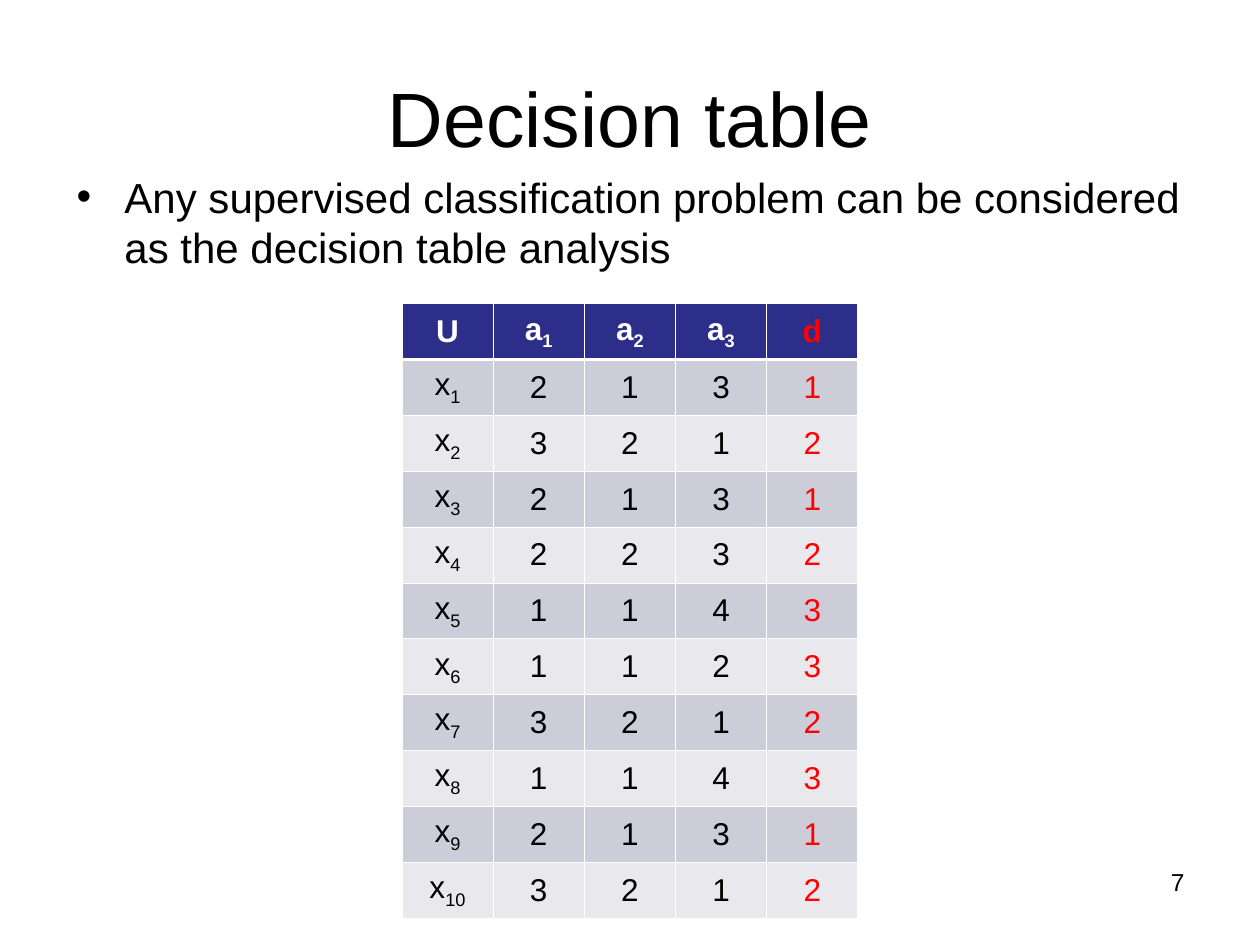
"""Build a slide that shows a decision table."""
from pptx import Presentation
from pptx.dml.color import RGBColor as Rgb
from pptx.enum.text import MSO_ANCHOR as Anchor, PP_ALIGN as Align
from pptx.oxml.ns import qn
from pptx.util import Inches, Pt
from lxml.etree import SubElement as Sub, Element

HUES = {"ink": "000000", "paper": "FFFFFF", "head": "2D2D8A",
        "odd": "CDCDDA", "even": "E8E8ED", "mark": "FF0000"}
HEAD = ["U", "a_1", "a_2", "a_3", "d"]
DATA = ["2131", "3212", "2131", "2232", "1143",
        "1123", "3212", "1143", "2131", "3212"]


def write(frame, text, size=18, hue="ink", bold=False, align=Align.LEFT,
          font="Arial", bullet=None, indent=0.38, before=0):
    """Fill a text frame; what follows an underscore is a subscript."""
    frame.word_wrap = True
    para = frame.paragraphs[0]
    para.alignment = align
    if bullet:
        props = para._p.get_or_add_pPr()
        props.set("marL", str(Inches(indent)))
        props.set("indent", str(-Inches(indent)))
        Sub(props, qn("a:buFont"), typeface=font)
        Sub(props, qn("a:buChar"), char=bullet)
    if before:
        para.space_before = Pt(before)
    for rank, part in enumerate(text.split("_")):
        run = para.add_run()
        run.text = part
        run.font.name, run.font.size, run.font.bold = font, Pt(size), bold
        run.font.color.rgb = Rgb.from_string(HUES[hue])
        if rank:
            run._r.get_or_add_rPr().set("baseline", "-25000")


def edge(cell, widths, hue="paper"):
    """Draw the left, right, top and bottom borders of a cell."""
    props = cell._tc.get_or_add_tcPr()
    for spot, (side, width) in enumerate(zip("LRTB", widths)):
        line = Element(qn(f"a:ln{side}"), w=str(Pt(width)))
        fill = Sub(line, qn("a:solidFill"))
        Sub(fill, qn("a:srgbClr"), val=HUES[hue])
        props.insert(spot, line)


class Deck:
    """Hold the style and the current slide."""

    def __init__(self, thin=0.45, thick=1.47):
        self.thin, self.thick = thin, thick
        self.show = Presentation()
        self.show.slide_width, self.show.slide_height = Inches(10), Inches(7.5)
        self.slide = self.show.slides.add_slide(self.show.slide_layouts[5])

    def title(self, text, left, top, width, height):
        """Place and write the title."""
        shape = self.slide.shapes.title
        shape.left, shape.top = Inches(left), Inches(top)
        shape.width, shape.height = Inches(width), Inches(height)
        shape.text_frame.vertical_anchor = Anchor.MIDDLE
        write(shape.text_frame, text, size=44, align=Align.CENTER)

    def text(self, text, left, top, width, height, **style):
        """Add a text box."""
        box = self.slide.shapes.add_textbox(
            Inches(left), Inches(top), Inches(width), Inches(height))
        write(box.text_frame, text, **style)

    def table(self, rows, left, top, width, height):
        """Add a banded table whose last column is marked."""
        count, last = len(rows), len(rows[0]) - 1
        grid = self.slide.shapes.add_table(
            count, last + 1, Inches(left), Inches(top),
            Inches(width), Inches(height)).table
        for y, row in enumerate(rows):
            band = "head" if y == 0 else "odd" if y % 2 else "even"
            ink = "ink" if y else "paper"
            above = self.thick if y == 1 else self.thin
            below = self.thick if y == 0 else self.thin
            for x, text in enumerate(row):
                cell = grid.cell(y, x)
                cell.vertical_anchor = Anchor.MIDDLE
                cell.fill.solid()
                cell.fill.fore_color.rgb = Rgb.from_string(HUES[band])
                edge(cell, (self.thin, self.thin, above, below))
                write(cell.text_frame, text, bold=y == 0, align=Align.CENTER,
                      hue="mark" if x == last else ink)


def main():
    """Build and save the slide."""
    deck = Deck()
    deck.title("Decision table", 0.5, 0.3, 9, 1.25)
    deck.text("Any supervised classification problem can be considered "
              "as the decision table analysis", 0.51, 1.31, 9, 1.34,
              size=24, bullet="•", before=6)
    body = [[f"x_{n}", *line] for n, line in enumerate(DATA, 1)]
    deck.table([HEAD, *body], 3.19, 2.41, 3.62, 4.88)
    deck.text("7", 7.17, 6.83, 2.33, 0.52, size=14, align=Align.RIGHT)
    deck.show.save("out.pptx")


if __name__ == "__main__":
    main()
